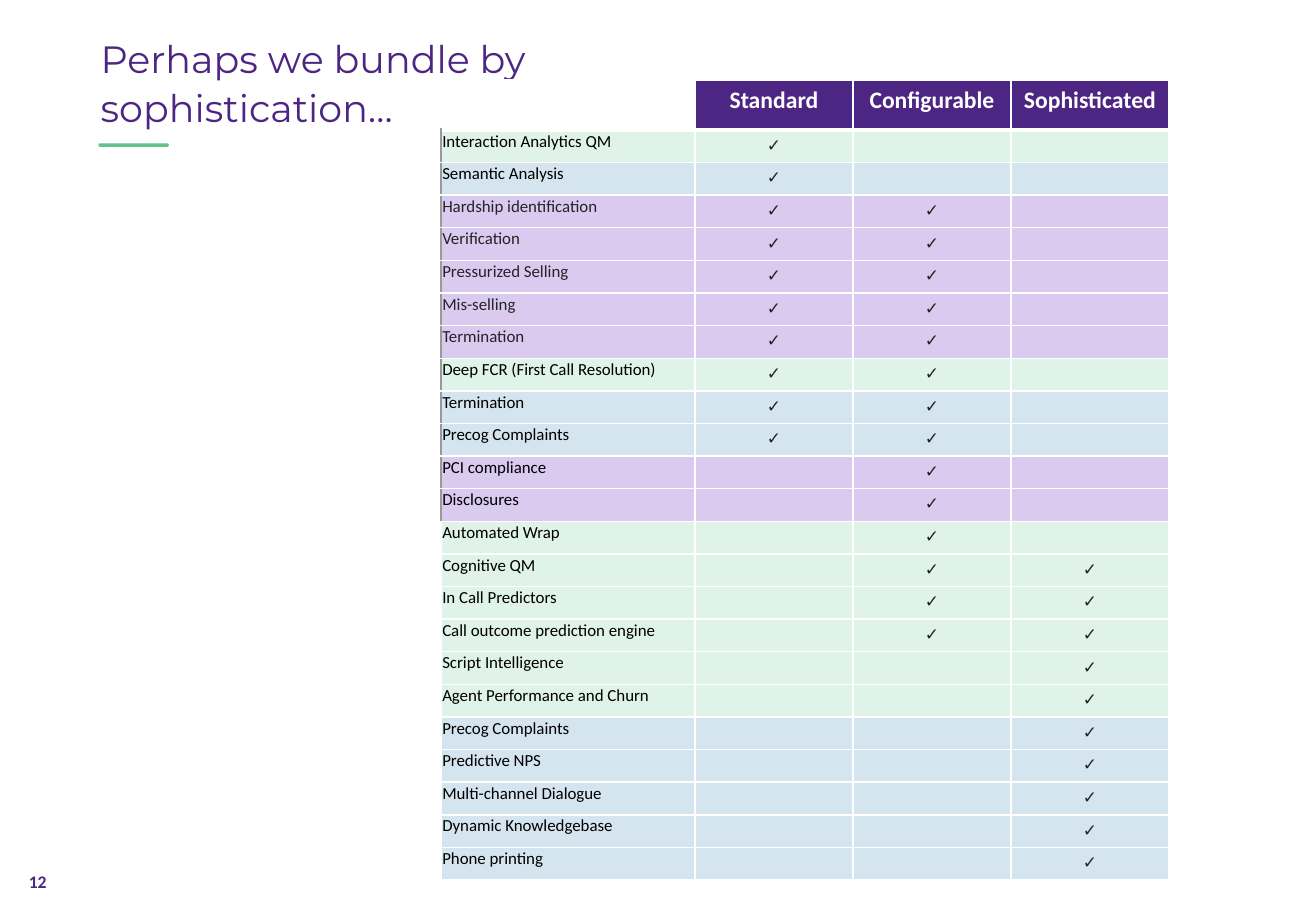
"""Builds a slide with a feature table bundled by level of sophistication."""
from lxml import etree
from pptx import Presentation
from pptx.dml.color import RGBColor
from pptx.enum.shapes import MSO_SHAPE
from pptx.enum.text import MSO_ANCHOR, PP_ALIGN
from pptx.oxml.ns import qn
from pptx.util import Inches, Pt

CENTER, LEFT = PP_ALIGN.CENTER, PP_ALIGN.LEFT
TOP = MSO_ANCHOR.TOP
ROUNDED = MSO_SHAPE.ROUNDED_RECTANGLE

COLORS = {
    "purple": "4C2682", "accent": "60C48A", "white": "FFFFFF", "edge": "999999",
    "black": "000000", "dark": "242424",
    "green": "DFF3E8", "blue": "D5E5F0", "lilac": "DACAF0",
}
LEVELS = ["Standard", "Configurable", "Sophisticated"]
BANDS = [
    ("green", "black", [0], ["Interaction Analytics QM"]),
    ("blue", "black", [0], ["Semantic Analysis"]),
    ("lilac", "dark", [0, 1], ["Hardship identification", "Verification",
                               "Pressurized Selling", "Mis-selling", "Termination"]),
    ("green", "black", [0, 1], ["Deep FCR (First Call Resolution)"]),
    ("blue", "black", [0, 1], ["Termination", "Precog Complaints"]),
    ("lilac", "black", [1], ["PCI compliance", "Disclosures"]),
    ("green", "black", [1], ["Automated Wrap"]),
    ("green", "black", [1, 2], ["Cognitive QM", "In Call Predictors",
                                "Call outcome prediction engine"]),
    ("green", "black", [2], ["Script Intelligence", "Agent Performance and Churn"]),
    ("blue", "black", [2], ["Precog Complaints", "Predictive NPS", "Multi-channel Dialogue",
                            "Dynamic Knowledgebase", "Phone printing"]),
]
EDGED_ROWS = range(1, 13)
HEADER_H, TABLE_H = 0.41, 6.59


def write(tf, text, color, align=LEFT, **font):
    p = tf.paragraphs[0]
    p.alignment = align
    r = p.add_run()
    r.text = text
    for name, value in font.items():
        setattr(r.font, name, value)
    r.font.color.rgb = RGBColor.from_string(COLORS[color])
    return p


def set_borders(cell, left, bottom):
    tcPr = cell._tc.get_or_add_tcPr()
    for side, color, width in (("L", left, 1), ("R", "white", 1),
                               ("T", "white", 1), ("B", "white", bottom)):
        ln = etree.SubElement(tcPr, qn(f"a:ln{side}"), w=str(Pt(width)))
        fill = etree.SubElement(ln, qn("a:solidFill"))
        etree.SubElement(fill, qn("a:srgbClr"), val=COLORS[color])


prs = Presentation()
prs.slide_width, prs.slide_height = Inches(10.83), Inches(7.5)
s = prs.slides.add_slide(prs.slide_layouts[6])

number = s.shapes.add_textbox(Inches(0.15), Inches(7.13), Inches(0.32), Inches(0.25))
tf = number.text_frame
tf.word_wrap = False
tf.margin_left = tf.margin_right = Inches(0.08)
tf.margin_top = tf.margin_bottom = Inches(0.04)
write(tf, "12", "purple", CENTER, size=Pt(10.5), name="Calibri", bold=True)

title = s.shapes.add_textbox(Inches(0.73), Inches(0.22), Inches(4.43), Inches(1.6))
tf = title.text_frame
tf.word_wrap = True
tf.vertical_anchor = TOP
p = write(tf, "Perhaps we bundle by sophistication…", "purple", size=Pt(22.5), name="Montserrat")
p.line_spacing = Pt(29)

underline = s.shapes.add_shape(ROUNDED, Inches(0.81), Inches(1.18), Inches(0.58), Inches(0.03))
underline.adjustments[0] = 0.5
underline.shadow.inherit = False
underline.fill.solid()
underline.fill.fore_color.rgb = RGBColor.from_string(COLORS["accent"])
underline.line.fill.background()

features = [(label, tint, color, marks)
            for tint, color, marks, labels in BANDS for label in labels]
table = s.shapes.add_table(len(features) + 1, len(LEVELS) + 1, Inches(3.63), Inches(0.66),
                           Inches(6), Inches(TABLE_H)).table
for col, width in zip(table.columns, [2.09, 1.3, 1.3, 1.3]):
    col.width = Inches(width)
for i, row in enumerate(table.rows):
    row.height = Inches((TABLE_H - HEADER_H) / len(features) if i else HEADER_H)
    for j, cell in enumerate(row.cells):
        set_borders(cell, "edge" if j == 0 and i in EDGED_ROWS else "white", 1 if i else 3)
        cell.vertical_anchor = TOP
        tint = features[i - 1][1] if i else "purple"
        if i == j == 0:
            cell.fill.background()
        else:
            cell.fill.solid()
            cell.fill.fore_color.rgb = RGBColor.from_string(COLORS[tint])
        tf = cell.text_frame
        if i == 0 and j:
            cell.margin_left = cell.margin_right = Inches(0.08)
            write(tf, LEVELS[j - 1], "white", CENTER, size=Pt(14), name="Calibri", bold=True)
        elif i and j == 0:
            cell.margin_left = cell.margin_right = cell.margin_top = Inches(0.01)
            cell.margin_bottom = 0
            write(tf, features[i - 1][0], features[i - 1][2],
                  size=Pt(10), name="Calibri", bold=False)
        elif i and j - 1 in features[i - 1][3]:
            write(tf, "✓", "dark", CENTER, size=Pt(10), name="Arial", bold=False)
        else:
            etree.SubElement(tf.paragraphs[0]._p, qn("a:endParaRPr"), sz="1000")

prs.save("out.pptx")
